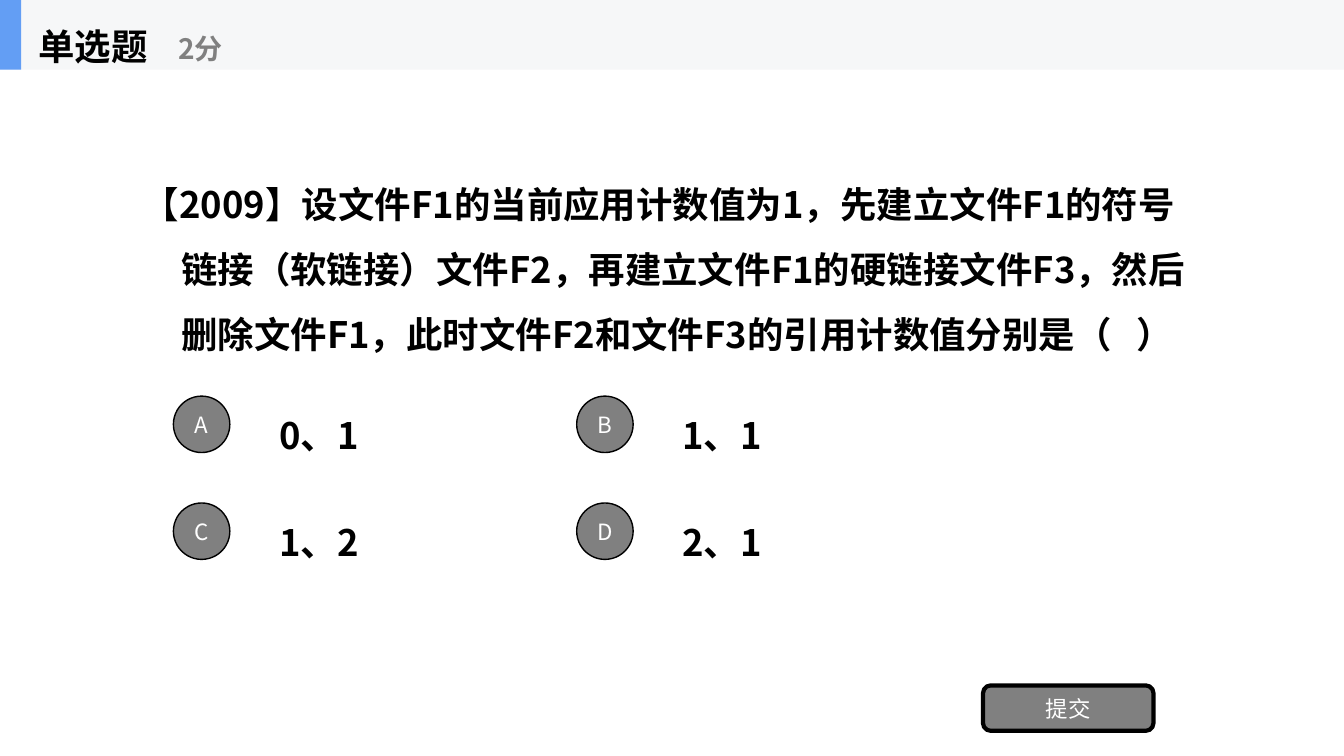
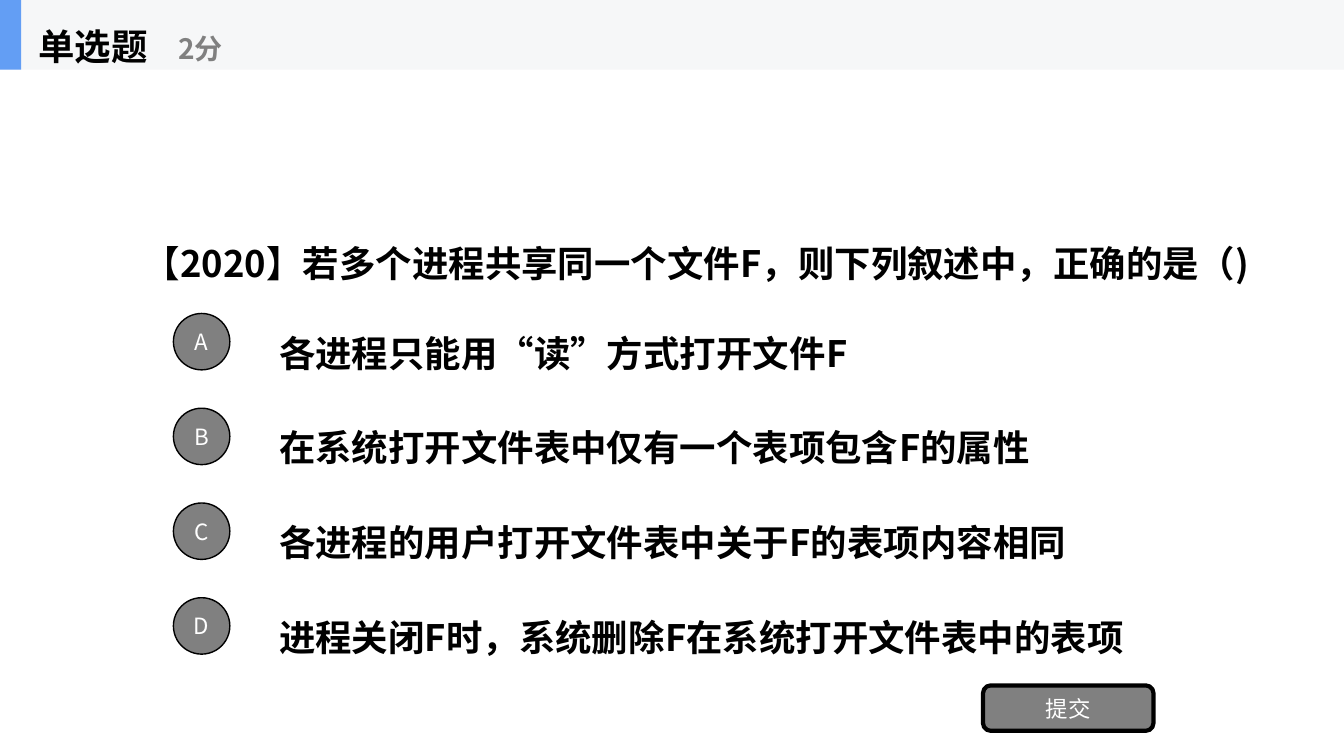
from dataclasses import dataclass

from lxml.etree import SubElement
from pptx import Presentation
from pptx.dml.color import RGBColor
from pptx.enum.shapes import MSO_SHAPE as Preset
from pptx.enum.text import MSO_ANCHOR as Anchor, MSO_AUTO_SIZE as AutoSize, PP_ALIGN as Align
from pptx.oxml.ns import qn
from pptx.util import Inches, Pt


@dataclass(frozen=True)
class Theme:
    font: str = "Noto Sans CJK SC"
    ink: str = "000000"
    muted: str = "808080"
    light: str = "FFFFFF"
    band: str = "F6F7F8"
    accent: str = "639EF4"
    body_size: int = 26
    points_size: int = 20
    button_size: int = 16
    hanging: float = 0.38
    line_spacing: float = 1.5


THEME = Theme()
WIDTH, HEIGHT = 13.33, 7.5
BAND_HEIGHT = 0.69
OPTION_HEIGHT, BADGE_SIZE, BADGE_GAP = 0.7, 0.56, 0.95

QUESTIONS = [
    dict(
        stem="【2009】设文件F1的当前应用计数值为1，先建立文件F1的符号链接（软链接）文件F2，"
             "再建立文件F1的硬链接文件F3，然后删除文件F1，此时文件F2和文件F3的引用计数值分别是（   ）",
        stem_box=(1.32, 1.39, 10.67, 2.34),
        options=["0、1", "1、1", "1、2", "2、1"],
        origin=(2.67, 3.86), columns=2, pitch=(4, 1.06), option_width=3.47,
    ),
    dict(
        stem="【2020】若多个进程共享同一个文件F，则下列叙述中，正确的是（)",
        stem_box=(1.33, 1.96, 11.46, 1.08),
        options=[
            "各进程只能用“读”方式打开文件F",
            "在系统打开文件表中仅有一个表项包含F的属性",
            "各进程的用户打开文件表中关于F的表项内容相同",
            "进程关闭F时，系统删除F在系统打开文件表中的表项",
        ],
        origin=(2.67, 3.04), columns=1, pitch=(0, 0.94), option_width=9.33,
    ),
]


def inches(box):
    return [Inches(length) for length in box]


def style_paragraph(paragraph, size, color, bold):
    font = paragraph.font
    font.size, font.bold, font.name = Pt(size), bold, THEME.font
    font.color.rgb = RGBColor.from_string(color)
    defaults = paragraph._p.pPr.find(qn("a:defRPr"))
    SubElement(defaults, qn("a:ea")).set("typeface", THEME.font)


def write_hanging(shape, text, size=THEME.body_size, color=THEME.ink):
    """Fill a shape with bold, left-aligned text that has a hanging indent."""
    frame = shape.text_frame
    frame.text = text
    frame.word_wrap, frame.auto_size = True, AutoSize.NONE
    frame.vertical_anchor = Anchor.MIDDLE
    paragraph = frame.paragraphs[0]
    paragraph.alignment, paragraph.line_spacing = Align.LEFT, THEME.line_spacing
    properties = paragraph._p.get_or_add_pPr()
    properties.set("marL", str(Inches(THEME.hanging)))
    properties.set("indent", str(-Inches(THEME.hanging)))
    style_paragraph(paragraph, size, color, True)


def add_text(slide, box, text, **style):
    write_hanging(slide.shapes.add_textbox(*inches(box)), text, **style)


def add_block(slide, preset, box, fill):
    block = slide.shapes.add_shape(preset, *inches(box))
    block.shadow.inherit = False
    block.fill.solid()
    block.fill.fore_color.rgb = RGBColor.from_string(fill)
    block.line.fill.background()
    return block


def add_button(slide, preset, box, label, outline):
    button = add_block(slide, preset, box, THEME.muted)
    button.line.color.rgb = RGBColor.from_string(THEME.ink)
    button.line.width = Pt(outline)
    frame = button.text_frame
    frame.margin_left = frame.margin_right = frame.margin_top = frame.margin_bottom = 0
    frame.vertical_anchor = Anchor.MIDDLE
    frame.text = label
    frame.paragraphs[0].alignment = Align.CENTER
    style_paragraph(frame.paragraphs[0], THEME.button_size, THEME.light, False)


def add_header(slide, box, kind, points):
    left, top, width, height = box
    add_block(slide, Preset.RECTANGLE, box, THEME.band)
    marker = add_block(slide, Preset.RECTANGLE, (left, top, 0.21, height), THEME.accent)
    title = slide.shapes.title
    title.left, title.top, title.width, title.height = inches((left + 0.28, top, 2.08, height))
    write_hanging(title, kind)
    marker._element.addnext(title._element)  # keeps the title in front of the band
    add_text(slide, (left + 1.67, top + 0.12, 2.5, 0.56), points,
             size=THEME.points_size, color=THEME.muted)


def add_options(slide, origin, options, columns, pitch, option_width):
    for index, (letter, option) in enumerate(zip("ABCD", options)):
        row, column = divmod(index, columns)
        left = origin[0] + column * pitch[0]
        top = origin[1] + row * pitch[1]
        add_text(slide, (left, top, option_width, OPTION_HEIGHT), option)
        badge_top = top + (OPTION_HEIGHT - BADGE_SIZE) / 2
        add_button(slide, Preset.OVAL, (left - BADGE_GAP, badge_top, BADGE_SIZE, BADGE_SIZE),
                   letter, 1)


def add_question_slide(deck, stem, stem_box, **choices):
    slide = deck.slides.add_slide(deck.slide_layouts.get_by_name("Title Only"))
    add_header(slide, (0, 0, WIDTH, BAND_HEIGHT), "单选题", "2分")
    add_text(slide, stem_box, stem)
    add_options(slide, **choices)
    add_button(slide, Preset.ROUNDED_RECTANGLE, (9.75, 6.8, 1.69, 0.45), "提交", 3)


def main():
    deck = Presentation()
    deck.slide_width, deck.slide_height = Inches(WIDTH), Inches(HEIGHT)
    for question in QUESTIONS:
        add_question_slide(deck, **question)
    deck.save("out.pptx")


if __name__ == "__main__":
    main()
